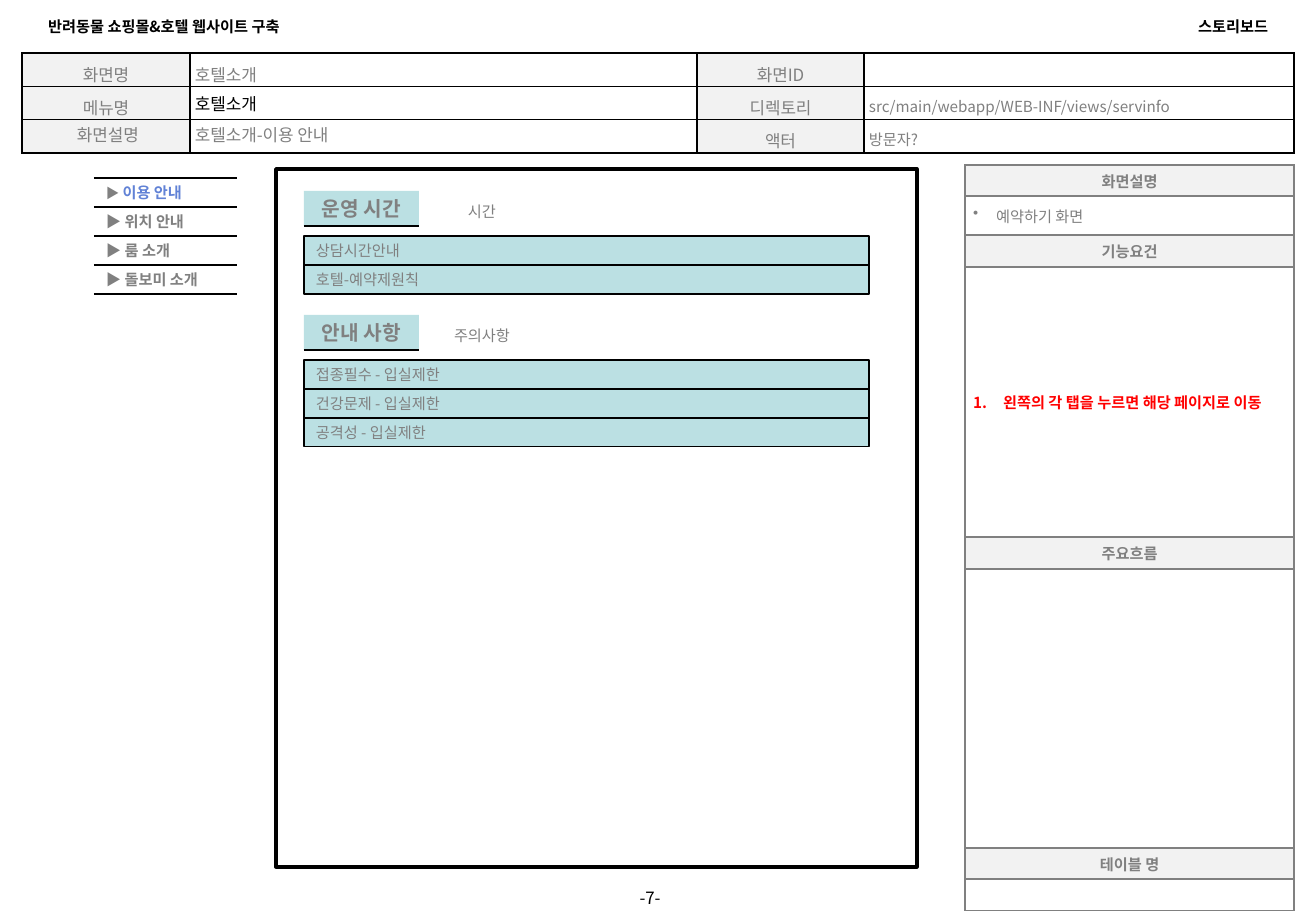
from lxml.etree import SubElement
from pptx import Presentation
from pptx.dml.color import RGBColor
from pptx.enum.shapes import MSO_CONNECTOR, MSO_SHAPE
from pptx.enum.text import MSO_ANCHOR, PP_ALIGN
from pptx.oxml.ns import qn
from pptx.util import Pt

PX = 914400 / 121.5
FONT = "Noto Sans CJK KR"
BLACK = RGBColor(0, 0, 0)
WHITE = RGBColor(255, 255, 255)
GRAY = RGBColor(0x80, 0x80, 0x80)
PALE = RGBColor(0xF2, 0xF2, 0xF2)
TEAL = RGBColor(0xBB, 0xE0, 0xE3)
BLUE = RGBColor(0x61, 0x82, 0xD6)
RED = RGBColor(255, 0, 0)

PROJECT, DOCUMENT, PAGE = "반려동물 쇼핑몰&호텔 웹사이트 구축", "스토리보드", "-7-"

# Paragraph spacing: line spacing, space before and after in points
ROOMY, PADDED, FIXED, PLAIN = (1.15, 3), (1.0, 3), (Pt(12), 0), (1.0, 0)

# Cells: text, size, colour, spacing
SCREEN_INFO = [
    [("화면명", 10, GRAY, ROOMY), ("호텔소개", 10, GRAY, ROOMY),
     ("화면ID", 10, GRAY, ROOMY), ("", 10, GRAY, ROOMY)],
    [("메뉴명", 10, GRAY, ROOMY), ("호텔소개", 10, BLACK, PLAIN),
     ("디렉토리", 10, GRAY, ROOMY), ("src/main/webapp/WEB-INF/views/servinfo", 9, GRAY, ROOMY)],
    [(" 화면설명", 10, GRAY, FIXED), ("호텔소개-이용 안내", 10, GRAY, FIXED),
     ("액터", 10, GRAY, ROOMY), ("방문자?", 9, GRAY, ROOMY)],
]
INFO_COLUMNS = [168, 507, 167, 430]

# Rows: text, height, kind
DESCRIPTION = [("화면설명", 31, "heading"), ("예약하기 화면", 39, "bullet"),
               ("기능요건", 32, "heading"), ("왼쪽의 각 탭을 누르면 해당 페이지로 이동", 270, "number"),
               ("주요흐름", 32, "heading"), ("", 289, "empty")]
TABLE_NAMES = [("테이블 명", 31, "heading"), ("", 32, "empty")]

TABS = [("이용 안내", 8, BLUE), ("위치 안내", 9, GRAY), ("룸 소개", 9, GRAY), ("돌보미 소개", 9, GRAY)]
SECTIONS = [
    ("운영 시간", "시간", 191, ["상담시간안내", "호텔-예약제원칙"]),
    ("안내 사항", "주의사항", 315, ["접종필수 - 입실제한", "건강문제 - 입실제한", "공격성 - 입실제한"]),
]
STEP = 29


def px(*lengths):
    return [round(length * PX) for length in lengths]


def style(paragraph, size, color, bold=False, align=PP_ALIGN.LEFT):
    font = paragraph.font
    font.name, font.size, font.bold = FONT, Pt(size), bold
    font.color.rgb = color
    SubElement(paragraph._p.pPr.find(qn("a:defRPr")), qn("a:ea"), typeface=FONT)
    paragraph.alignment = align
    if not paragraph.runs:
        SubElement(paragraph._p, qn("a:endParaRPr"), sz=str(size * 100))


def space(paragraph, spacing):
    paragraph.line_spacing = spacing[0]
    paragraph.space_before = paragraph.space_after = Pt(spacing[1])


def add_text(box, text, size, color, bold=False, align=PP_ALIGN.LEFT):
    frame = box.text_frame
    frame.word_wrap = True
    frame.vertical_anchor = MSO_ANCHOR.MIDDLE
    frame.text = text
    style(frame.paragraphs[0], size, color, bold, align)


def add_box(x, y, width, height, fill, line_width=0):
    box = slide.shapes.add_shape(MSO_SHAPE.RECTANGLE, *px(x, y, width, height))
    box.shadow.inherit = False
    box.fill.solid()
    box.fill.fore_color.rgb = fill
    if line_width:
        box.line.color.rgb = BLACK
        box.line.width = Pt(line_width)
    else:
        box.line.fill.background()
    return box


def add_rule(x, y, width):
    rule = slide.shapes.add_connector(MSO_CONNECTOR.STRAIGHT, *px(x, y, x + width, y))
    rule.line.color.rgb = BLACK
    rule.line.width = Pt(0.75)
    SubElement(rule._element.spPr, qn("a:effectLst"))


def add_grid(x, y, widths, heights):
    frame = slide.shapes.add_table(len(heights), len(widths),
                                   *px(x, y, sum(widths), sum(heights)))
    table = frame.table
    table.first_row = table.horz_banding = False
    for column, width in zip(table.columns, px(*widths)):
        column.width = width
    for row, height in zip(table.rows, px(*heights)):
        row.height = height
    return table


def fill_cell(cell, text, fill, border, side_margin):
    cell.text = text
    cell.vertical_anchor = MSO_ANCHOR.MIDDLE
    cell.margin_left, cell.margin_right = px(side_margin, side_margin)
    cell.margin_top, cell.margin_bottom = px(5, 5)
    cell.fill.solid()
    cell.fill.fore_color.rgb = fill
    properties = cell._tc.tcPr
    for index, side in enumerate("LRTB"):
        line = SubElement(properties, qn(f"a:ln{side}"), w=str(Pt(1)))
        SubElement(SubElement(line, qn("a:solidFill")), qn("a:srgbClr"), val=str(border))
        properties.insert(index, line)
    return cell.text_frame.paragraphs[0]


def add_marker(paragraph, kind):
    """Give a list paragraph its hanging indent and its bullet or number."""
    properties = paragraph._p.get_or_add_pPr()
    indent = px(23 if kind == "bullet" else 30)[0]
    properties.set("marL", str(indent))
    properties.set("indent", str(-indent))
    if kind == "bullet":
        marker = SubElement(properties, qn("a:buChar"), char="•")
    else:
        marker = SubElement(properties, qn("a:buAutoNum"), type="arabicPeriod")
    properties.find(qn("a:defRPr")).addprevious(marker)


def add_panel(y, rows):
    table = add_grid(965, y, [329], [height for _, height, _ in rows])
    for index, (text, _, kind) in enumerate(rows):
        heading = kind == "heading"
        paragraph = fill_cell(table.cell(index, 0), text, PALE if heading else WHITE, GRAY, 8)
        style(paragraph, 9, RED if kind == "number" else GRAY, kind in ("heading", "number"),
              PP_ALIGN.CENTER if heading else PP_ALIGN.LEFT)
        space(paragraph, PADDED if kind in ("heading", "bullet") else PLAIN)
        if kind in ("bullet", "number"):
            add_marker(paragraph, kind)


presentation = Presentation()
presentation.slide_width, presentation.slide_height = px(1316, 911)
slide = presentation.slides.add_slide(presentation.slide_layouts[5])

project = slide.shapes.title
project.left, project.top, project.width, project.height = px(36, 11, 363, 30)
add_text(project, PROJECT, 9, BLACK, True)
document = slide.shapes.add_textbox(*px(917, 11, 363, 30))
add_text(document, DOCUMENT, 9, BLACK, True, PP_ALIGN.RIGHT)
page = slide.shapes.add_textbox(*px(602, 888, 96, 20))
add_text(page, PAGE, 10, BLACK, align=PP_ALIGN.CENTER)

screen_info = add_grid(22, 53, INFO_COLUMNS, [33] * len(SCREEN_INFO))
for row, cells in enumerate(SCREEN_INFO):
    for column, (text, size, color, spacing) in enumerate(cells):
        label = column % 2 == 0
        entry = fill_cell(screen_info.cell(row, column), text, PALE if label else WHITE, BLACK, 5)
        style(entry, size, color, align=PP_ALIGN.CENTER if label else PP_ALIGN.LEFT)
        space(entry, spacing)

add_panel(165, DESCRIPTION)
add_panel(848, TABLE_NAMES)

add_box(276, 169, 641, 698, WHITE, 2)

for index, (label, arrow_size, color) in enumerate(TABS):
    tab = add_box(94, 178 + index * STEP, 143, STEP, WHITE)
    add_text(tab, "▶ ", 9, GRAY)
    arrow = tab.text_frame.paragraphs[0].runs[0]
    arrow.font.size = Pt(arrow_size)
    name = tab.text_frame.paragraphs[0].add_run()
    name.text = label
    name.font.bold = True
    name.font.color.rgb = color
for index in range(len(TABS) + 1):
    add_rule(94, 178 + index * STEP, 143)

for heading, note, top, items in SECTIONS:
    add_text(add_box(304, top, 115, 35, TEAL), heading, 12, GRAY, True, PP_ALIGN.CENTER)
    add_rule(304, top + 35, 115)
    caption = slide.shapes.add_textbox(*px(429, top + 6, 106, STEP))
    add_text(caption, note, 9, GRAY, align=PP_ALIGN.CENTER)
    for index, item in enumerate(items):
        bar = add_box(304, top + 45 + index * STEP, 565, STEP, TEAL, 0.75)
        add_text(bar, item, 9, GRAY)

presentation.save("out.pptx")
